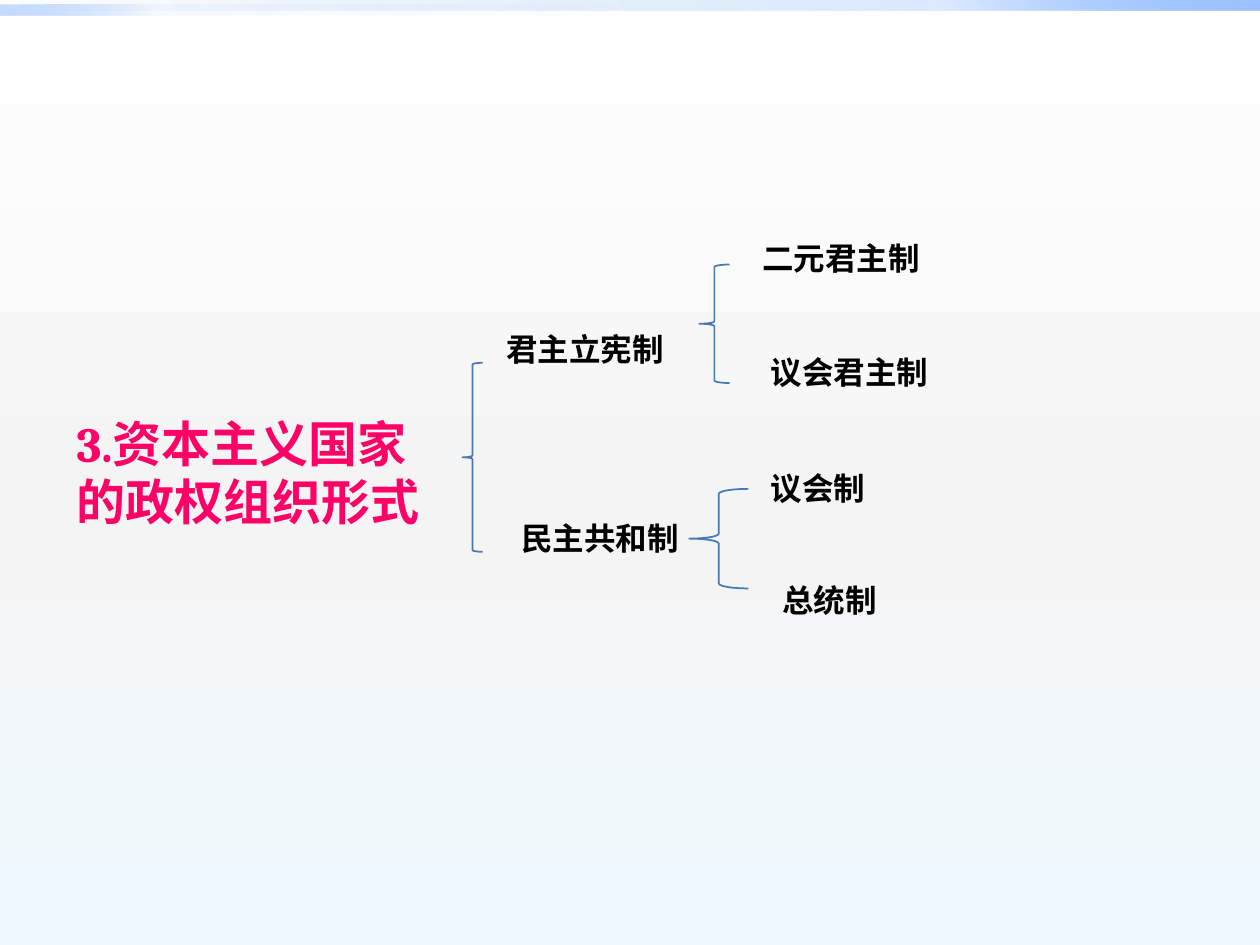
"""Build a slide with a brace tree of capitalist forms of government."""
from lxml.etree import SubElement
from pptx import Presentation
from pptx.dml.color import RGBColor
from pptx.enum.shapes import MSO_SHAPE
from pptx.enum.text import MSO_AUTO_SIZE
from pptx.oxml.ns import qn
from pptx.util import Inches, Pt

THEME = {
    "font": "Cambria",
    "title": (28, "FF0066"),
    "label": (18, "000000"),
    "brace": ("477AB1", 1),
    "background": ([(0, "FFFFFF", 100), (55, "F4F4F4", 100), (100, "EEF9FF", 100)], 90),
    "top_bar": ([(0, "0058B7", 0), (75, "4F95FF", 20), (100, "9EC2FF", 100)], 315),
    "left_bar": ([(0, "0058B7", 0), (75, "4F95FF", 5), (100, "9EC2FF", 60)], 135),
}

BARS = [("top_bar", (0, 0, 10, 0.08)), ("left_bar", (0, 0.04, 5, 0.08))]

TEXTS = [
    ("3.资本主义国家的政权组织形式", "title", (0.51, 3.23, 2.94, 1.04)),
    ("君主立宪制", "label", (3.92, 2.57, 1.87, 0.4)),
    ("民主共和制", "label", (4.04, 4.07, 1.91, 0.4)),
    ("二元君主制", "label", (5.95, 1.85, 1.83, 0.4)),
    ("议会君主制", "label", (6.02, 2.75, 1.5, 0.4)),
    ("议会制", "label", (6.02, 3.67, 1.18, 0.4)),
    ("总统制", "label", (6.11, 4.56, 1.32, 0.4)),
]

BRACES = [(3.67, 2.88, 0.16, 1.5), (5.55, 2.1, 0.24, 0.94), (5.47, 3.88, 0.47, 0.79)]


def set_gradient(fill, element, style):
    stops, angle = THEME[style]
    fill.gradient()
    gradient = next(element.iter(qn("a:gradFill")))
    for child in list(gradient):
        gradient.remove(child)
    stop_list = SubElement(gradient, qn("a:gsLst"))
    for position, color, opacity in stops:
        stop = SubElement(stop_list, qn("a:gs"), pos=str(position * 1000))
        color_element = SubElement(stop, qn("a:srgbClr"), val=color)
        if opacity < 100:
            SubElement(color_element, qn("a:alpha"), val=str(opacity * 1000))
    SubElement(gradient, qn("a:lin"), ang=str(angle * 60000), scaled="0")


def add_plain_shape(slide, kind, box):
    shape = slide.shapes.add_shape(kind, *map(Inches, box))
    shape.shadow.inherit = False
    return shape


def add_bar(slide, style, box):
    shape = add_plain_shape(slide, MSO_SHAPE.RECTANGLE, box)
    set_gradient(shape.fill, shape._element, style)
    shape.line.fill.background()


def add_brace(slide, box):
    shape = add_plain_shape(slide, MSO_SHAPE.LEFT_BRACE, box)
    color, width = THEME["brace"]
    shape.fill.background()
    shape.line.color.rgb = RGBColor.from_string(color)
    shape.line.width = Pt(width)


def add_text(slide, text, style, box):
    size, color = THEME[style]
    frame = slide.shapes.add_textbox(*map(Inches, box)).text_frame
    frame.word_wrap = True
    frame.auto_size = MSO_AUTO_SIZE.SHAPE_TO_FIT_TEXT
    paragraph = frame.paragraphs[0]
    paragraph.text = text
    paragraph.font.name = THEME["font"]
    paragraph.font.size = Pt(size)
    paragraph.font.bold = True
    paragraph.font.color.rgb = RGBColor.from_string(color)


def main():
    presentation = Presentation()
    presentation.slide_width = Inches(10)
    presentation.slide_height = Inches(7.5)
    slide = presentation.slides.add_slide(presentation.slide_layouts[6])
    set_gradient(slide.background.fill, slide._element, "background")
    for style, box in BARS:
        add_bar(slide, style, box)
    for box in BRACES:
        add_brace(slide, box)
    for text, style, box in TEXTS:
        add_text(slide, text, style, box)
    presentation.save("out.pptx")


if __name__ == "__main__":
    main()
